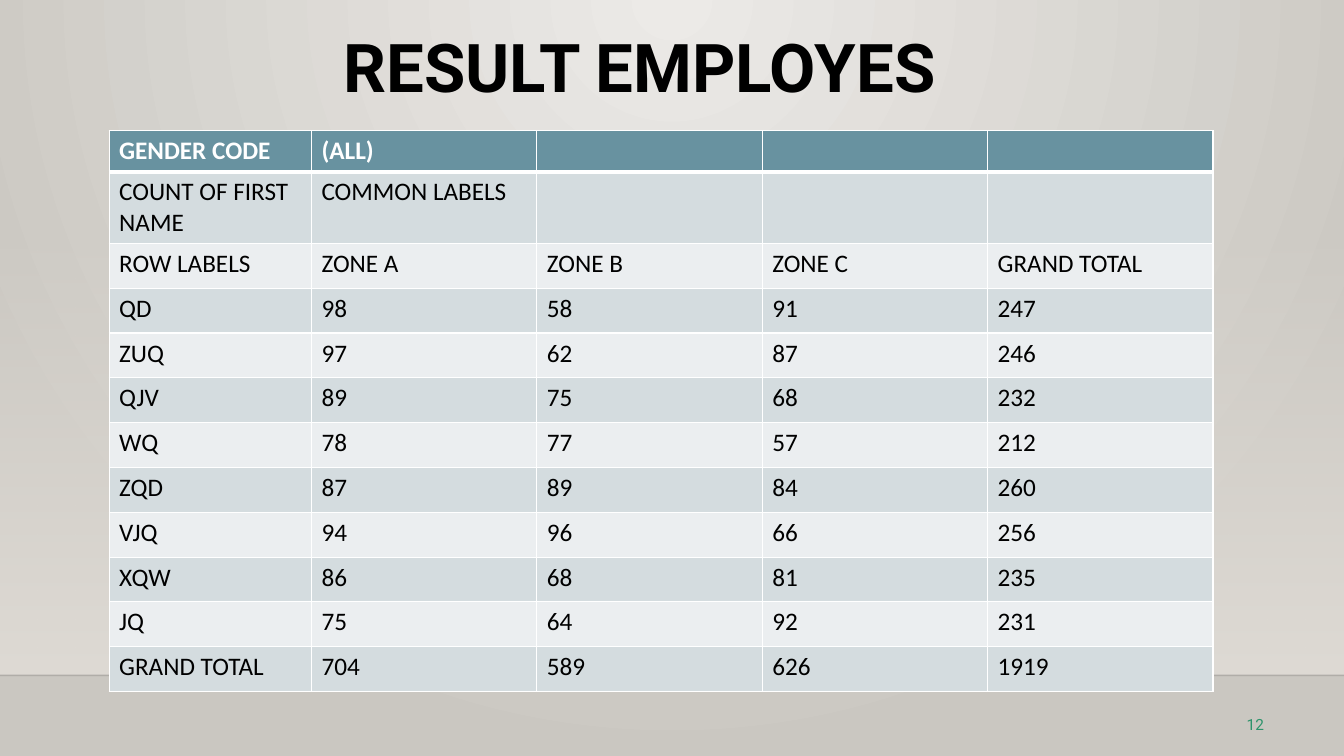
from dataclasses import dataclass

from lxml import etree
from pptx import Presentation
from pptx.dml import color as dml
from pptx.dml.fill import FillFormat
from pptx.enum import shapes, text
from pptx.oxml import ns
from pptx.util import Cm, Pt

WHITE = dml.RGBColor(0xFF, 0xFF, 0xFF)
BLACK = dml.RGBColor(0x00, 0x00, 0x00)
NUMBER_GREEN = dml.RGBColor(0x2D, 0x93, 0x6B)
HEADER_TEAL = dml.RGBColor(0x68, 0x92, 0xA0)
BAND_DARK = dml.RGBColor(0xD4, 0xDC, 0xDF)
BAND_LIGHT = dml.RGBColor(0xEB, 0xEE, 0xF0)
CENTRE_LIGHT = dml.RGBColor(0xEC, 0xEA, 0xE7)
EDGE_GREY = dml.RGBColor(0xCA, 0xC7, 0xC1)
WALL = dml.RGBColor(0xDF, 0xDB, 0xD5)

SLIDE_WIDTH, SLIDE_HEIGHT = Cm(33.87), Cm(19.05)
FLOOR_TOP = Cm(17.02)
WALL_TOP = Cm(5.61)
COLUMN_WIDTHS = [Cm(5.1)] + [Cm(5.68)] * 4
ROW_HEIGHTS = [Cm(1.04), Cm(1.8)] + [Cm(1.13)] * 10
ROWS = [
    ("GENDER CODE", "(ALL)", "", "", ""),
    ("COUNT OF FIRST\nNAME", "COMMON LABELS", "", "", ""),
    ("ROW LABELS", "ZONE A", "ZONE B", "ZONE C", "GRAND TOTAL"),
    ("QD", 98, 58, 91, 247),
    ("ZUQ", 97, 62, 87, 246),
    ("QJV", 89, 75, 68, 232),
    ("WQ", 78, 77, 57, 212),
    ("ZQD", 87, 89, 84, 260),
    ("VJQ", 94, 96, 66, 256),
    ("XQW", 86, 68, 81, 235),
    ("JQ", 75, 64, 92, 231),
    ("GRAND TOTAL", 704, 589, 626, 1919),
]


@dataclass(frozen=True)
class RowStyle:
    fill: dml.RGBColor
    font_color: dml.RGBColor
    bold: bool
    top: float = 1
    bottom: float = 1


def row_style(index: int) -> RowStyle:
    if index == 0:
        return RowStyle(HEADER_TEAL, WHITE, True, bottom=3)
    band = BAND_DARK if index % 2 else BAND_LIGHT
    return RowStyle(band, BLACK, False, top=3 if index == 1 else 1)


def apply(target: object, values: dict) -> None:
    for name, value in values.items():
        setattr(target, name, value)


def write(frame, content: str, name: str, size: float, color: dml.RGBColor,
          bold: bool = False) -> None:
    frame.text = content
    for paragraph in frame.paragraphs:
        apply(paragraph.font, {"name": name, "size": Pt(size), "bold": bold})
        paragraph.font.color.rgb = color
        for run in paragraph.runs:
            apply(run.font, {"name": name, "size": Pt(size), "bold": bold})
            run.font.color.rgb = color


def add_alpha(color_element, percent: int) -> None:
    etree.SubElement(color_element, ns.qn("a:alpha"), val=str(percent * 1000))


def set_gradient(fill: FillFormat, start: dml.RGBColor, end: dml.RGBColor) -> None:
    fill.gradient()
    for stop, position, rgb in zip(fill.gradient_stops, (0, 1), (start, end)):
        stop.position = position
        stop.color.rgb = rgb


def paint_background(slide) -> None:
    """Radial gradient centred on the top edge."""
    set_gradient(slide.background.fill, CENTRE_LIGHT, EDGE_GREY)
    linear = next(slide.element.iter(ns.qn("a:lin")))
    circle = etree.Element(ns.qn("a:path"), {"path": "circle"})
    etree.SubElement(circle, ns.qn("a:fillToRect"), l="43000", r="43000", b="100000")
    linear.getparent().replace(linear, circle)


def add_wall(slide) -> None:
    """Band that fades in from transparent down to the floor line."""
    wall = slide.shapes.add_shape(shapes.MSO_SHAPE.RECTANGLE, 0, WALL_TOP,
                                  SLIDE_WIDTH, FLOOR_TOP - WALL_TOP)
    wall.shadow.inherit = False
    wall.line.fill.background()
    set_gradient(wall.fill, WALL, WALL)
    wall.fill.gradient_angle = 270
    add_alpha(next(wall.element.iter(ns.qn("a:srgbClr"))), 0)


def add_floor_line(slide) -> None:
    line = slide.shapes.add_connector(shapes.MSO_CONNECTOR.STRAIGHT,
                                      0, FLOOR_TOP, SLIDE_WIDTH, FLOOR_TOP)
    line.line.width = Pt(1)
    line.line.color.rgb = BLACK
    add_alpha(next(line.element.iter(ns.qn("a:srgbClr"))), 20)
    etree.SubElement(line.element.spPr, ns.qn("a:effectLst"))


def add_slide_number(slide) -> None:
    box = slide.shapes.add_textbox(Cm(31.32), Cm(17.98), Cm(0.75), Cm(0.53))
    apply(box.text_frame, {"margin_left": Cm(0.1), "margin_top": Cm(0.03),
                           "margin_right": 0, "margin_bottom": 0,
                           "word_wrap": False})
    write(box.text_frame, "12", "Roboto", 11, NUMBER_GREEN)


def format_title(slide) -> None:
    title = slide.shapes.title
    apply(title, {"left": Cm(8.66), "top": Cm(0.86),
                  "width": Cm(20.85), "height": Cm(1.7)})
    apply(title.text_frame, {"margin_left": 0, "margin_top": 0,
                             "margin_right": 0, "margin_bottom": 0,
                             "word_wrap": True,
                             "auto_size": text.MSO_AUTO_SIZE.NONE,
                             "vertical_anchor": text.MSO_ANCHOR.TOP})
    write(title.text_frame, "RESULT EMPLOYES", "Roboto", 48, BLACK, True)
    apply(title.text_frame.paragraphs[0],
          {"alignment": text.PP_ALIGN.LEFT, "line_spacing": 0.9})
    slide.shapes.element.append(title.element)  # bring in front of the wall


def set_borders(cell, style: RowStyle) -> None:
    properties = cell.fill._xPr
    widths = {"lnL": 1, "lnR": 1, "lnT": style.top, "lnB": style.bottom}
    for index, (tag, width) in enumerate(widths.items()):
        border = etree.Element(ns.qn(f"a:{tag}"), w=str(Pt(width)))
        solid = etree.SubElement(border, ns.qn("a:solidFill"))
        etree.SubElement(solid, ns.qn("a:srgbClr"), val=str(WHITE))
        properties.insert(index, border)


def add_result_table(slide) -> None:
    table = slide.shapes.add_table(
        len(ROWS), len(COLUMN_WIDTHS), Cm(2.75), Cm(3.29),
        sum(COLUMN_WIDTHS), sum(ROW_HEIGHTS)).table
    for column, width in zip(table.columns, COLUMN_WIDTHS):
        column.width = width
    for index, (row, height, values) in enumerate(zip(table.rows, ROW_HEIGHTS, ROWS)):
        row.height = height
        style = row_style(index)
        for cell, value in zip(row.cells, values):
            write(cell.text_frame, str(value), "Calibri", 18,
                  style.font_color, style.bold)
            cell.fill.solid()
            cell.fill.fore_color.rgb = style.fill
            set_borders(cell, style)


def main() -> None:
    presentation = Presentation()
    apply(presentation, {"slide_width": SLIDE_WIDTH, "slide_height": SLIDE_HEIGHT})
    slide = presentation.slides.add_slide(presentation.slide_layouts[5])
    paint_background(slide)
    add_wall(slide)
    add_floor_line(slide)
    add_slide_number(slide)
    format_title(slide)
    add_result_table(slide)
    presentation.save("out.pptx")


if __name__ == "__main__":
    main()
